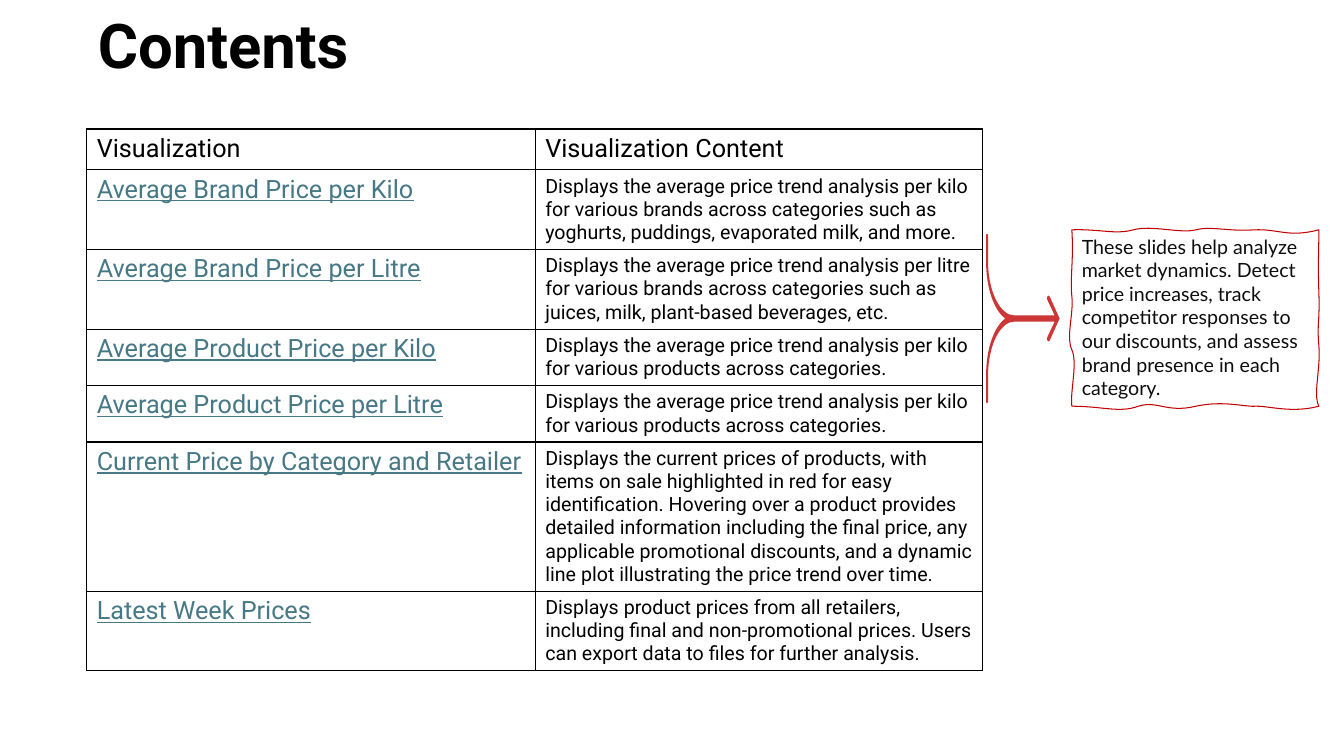
from dataclasses import dataclass

from lxml import etree
from pptx import Presentation
from pptx.dml.color import RGBColor
from pptx.enum.text import MSO_ANCHOR, PP_ALIGN
from pptx.oxml.ns import qn
from pptx.shapes.autoshape import Shape
from pptx.slide import Slide
from pptx.table import _Cell
from pptx.util import Inches, Pt

MIDDLE, TOP, LEFT = MSO_ANCHOR.MIDDLE, MSO_ANCHOR.TOP, PP_ALIGN.LEFT

BLACK = RGBColor(0x00, 0x00, 0x00)
NOTE_TEXT = RGBColor(0x0D, 0x0D, 0x0D)
LINK = RGBColor(0x46, 0x78, 0x86)
NOTE_LINE = RGBColor(0xC0, 0x00, 0x00)
ARROW_RED = RGBColor(0xCD, 0x36, 0x36)

# Grid of 40 columns by 30 rows
SLIDE_WIDTH, SLIDE_HEIGHT = Inches(13.33), Inches(7.5)
COLUMN, ROW = SLIDE_WIDTH / 40, SLIDE_HEIGHT / 30
OUTLINE_UNIT = Inches(0.01)

Point = tuple[float, float]
# A segment holds one point (straight) or three points (cubic curve)
Segment = tuple[Point, ...]


@dataclass(frozen=True)
class Entry:
    name: str
    content: str


ENTRIES = [
    Entry("Average Brand Price per Kilo",
          "Displays the average price trend analysis per kilo for various brands across "
          "categories such as yoghurts, puddings, evaporated milk, and more."),
    Entry("Average Brand Price per Litre",
          "Displays the average price trend analysis per litre for various brands across "
          "categories such as juices, milk, plant-based beverages, etc."),
    Entry("Average Product Price per Kilo",
          "Displays the average price trend analysis per kilo for various products "
          "across categories."),
    Entry("Average Product Price per Litre",
          "Displays the average price trend analysis per kilo for various products "
          "across categories."),
    Entry("Current Price by Category and Retailer",
          "Displays the current prices of products, with items on sale highlighted in red "
          "for easy identification. Hovering over a product provides detailed information "
          "including the final price, any applicable promotional discounts, and a dynamic "
          "line plot illustrating the price trend over time."),
    Entry("Latest Week Prices",
          "Displays product prices from all retailers, including final and non-promotional "
          "prices. Users can export data to files for further analysis."),
]

NOTE = ("These slides help analyze market dynamics. Detect price increases, track "
        "competitor responses to our discounts, and assess brand presence in each category.")

# Wavy frame, clockwise from its top left corner
NOTE_OUTLINE: list[Segment] = [
    ((0, 0),),
    ((28, -1), (43, 5), (61, 0)), ((80, -5), (107, 4), (123, 0)),
    ((138, -4), (157, 2), (181, 0)), ((206, -1), (214, 8), (245, 0)),
    ((245, 22), (244, 32), (245, 62)), ((246, 93), (243, 92), (245, 115)),
    ((247, 138), (239, 163), (245, 175)),
    ((219, 182), (196, 175), (184, 175)), ((171, 176), (151, 169), (123, 175)),
    ((94, 182), (85, 169), (66, 175)), ((47, 182), (31, 175), (0, 175)),
    ((-2, 161), (6, 132), (0, 119)), ((-6, 106), (2, 83), (0, 66)),
    ((-2, 48), (2, 30), (0, 0)),
]

# Upper half of the brace arrow, from tip to brace centre
ARROW_AXIS = 84
ARROW_HALF: list[Segment] = [
    ((73, 84),), ((72, 82),), ((63, 62),),
    ((62, 61), (61, 61), (61, 62)), ((60, 63), (60, 65), (61, 66)),
    ((68, 81),), ((28, 81),), ((14, 81), (2, 57), (2, 28)),
    ((2, 3),), ((2, 1), (2, 0), (1, 0)), ((0, 0), (0, 1), (0, 3)),
    ((0, 28),), ((0, 54), (8, 76), (19, 84)),
]


def mirror_back(segments: list[Segment]) -> list[Segment]:
    """Return to the first point along the reflection in the arrow's axis."""
    pairs = list(zip(segments, segments[1:]))
    return [tuple((x, 2 * ARROW_AXIS - y) for x, y in (*segment[-2::-1], before[-1]))
            if len(segment) > 1 else ((before[-1][0], 2 * ARROW_AXIS - before[-1][1]),)
            for before, segment in reversed(pairs)]


def style_paragraph(paragraph, font_name: str, size: float, color: RGBColor) -> None:
    paragraph.alignment = LEFT
    paragraph.font.name = font_name
    paragraph.font.size = Pt(size)
    paragraph.font.color.rgb = color


def add_outline(slide: Slide, column: float, row: float, segments: list[Segment]) -> Shape:
    scaled = [[(x * OUTLINE_UNIT, y * OUTLINE_UNIT) for x, y in segment]
              for segment in segments]
    builder = slide.shapes.build_freeform(*scaled[0][-1])
    builder.add_line_segments([segment[-1] for segment in scaled[1:]], close=True)
    shape = builder.convert_to_shape(round(column * COLUMN), round(row * ROW))
    shape.shadow.inherit = False
    # Bend the straight segments that have control points
    lines = list(shape.element.iter(qn("a:lnTo")))
    for line, segment in zip(lines, scaled[1:]):
        if len(segment) > 1:
            line.tag = qn("a:cubicBezTo")
            for index, (x, y) in enumerate(segment[:-1]):
                line.insert(index, etree.Element(qn("a:pt"), x=str(x), y=str(y)))
    return shape


def add_borders(cell: _Cell) -> None:
    properties = cell._tc.get_or_add_tcPr()
    for index, side in enumerate(("a:lnL", "a:lnR", "a:lnT", "a:lnB")):
        line = etree.Element(qn(side), w=str(Pt(1)))
        fill = etree.SubElement(line, qn("a:solidFill"))
        etree.SubElement(fill, qn("a:srgbClr"), val=str(BLACK))
        properties.insert(index, line)


def fill_cell(cell: _Cell, text: str, size: float, color: RGBColor, underline: bool) -> None:
    cell.text = text
    paragraph = cell.text_frame.paragraphs[0]
    style_paragraph(paragraph, "Roboto", size, color)
    paragraph.font.underline = underline
    cell.fill.background()
    add_borders(cell)


def add_title(slide: Slide) -> None:
    title = slide.shapes.title
    title.left, title.top = round(2.61 * COLUMN), round(0.48 * ROW)
    title.width, title.height = round(33.25 * COLUMN), round(2.88 * ROW)
    title.text_frame.text = "Contents"
    title.text_frame.vertical_anchor = MIDDLE
    paragraph = title.text_frame.paragraphs[0]
    style_paragraph(paragraph, "Roboto", 44, BLACK)
    paragraph.font.bold = True
    paragraph.line_spacing = 0.9


def add_contents_table(slide: Slide) -> None:
    widths = (13.35, 13.32)
    frame = slide.shapes.add_table(
        len(ENTRIES) + 1, len(widths), round(2.58 * COLUMN), round(5.12 * ROW),
        round(sum(widths) * COLUMN), round(21.76 * ROW))
    table = frame.table
    table.first_row = table.horz_banding = False
    for table_column, width in zip(table.columns, widths):
        table_column.width = round(width * COLUMN)
    # Rows have a least height and grow with their text
    for table_row in table.rows:
        table_row.height = round(1.62 * ROW)
    frame.height = round(21.76 * ROW)
    for index, heading in enumerate(("Visualization", "Visualization Content")):
        fill_cell(table.cell(0, index), heading, 18, BLACK, False)
    for index, entry in enumerate(ENTRIES, start=1):
        fill_cell(table.cell(index, 0), entry.name, 18, LINK, True)
        fill_cell(table.cell(index, 1), entry.content, 14, BLACK, False)


def add_note(slide: Slide) -> None:
    note = add_outline(slide, 31.9, 9.12, NOTE_OUTLINE)
    note.fill.background()
    note.line.color.rgb = NOTE_LINE
    note.line.width = Pt(0.75)
    frame = note.text_frame
    frame.word_wrap = True
    frame.vertical_anchor = TOP
    frame.text = NOTE
    style_paragraph(frame.paragraphs[0], "Lato", 14, NOTE_TEXT)


def add_brace_arrow(slide: Slide) -> None:
    arrow = add_outline(slide, 29.35, 9.28, ARROW_HALF + mirror_back(ARROW_HALF))
    arrow.fill.solid()
    arrow.fill.fore_color.rgb = ARROW_RED
    arrow.line.fill.background()


def main() -> None:
    presentation = Presentation()
    presentation.slide_width, presentation.slide_height = SLIDE_WIDTH, SLIDE_HEIGHT
    slide = presentation.slides.add_slide(presentation.slide_layouts[5])
    add_title(slide)
    add_contents_table(slide)
    add_note(slide)
    add_brace_arrow(slide)
    presentation.save("out.pptx")


if __name__ == "__main__":
    main()
